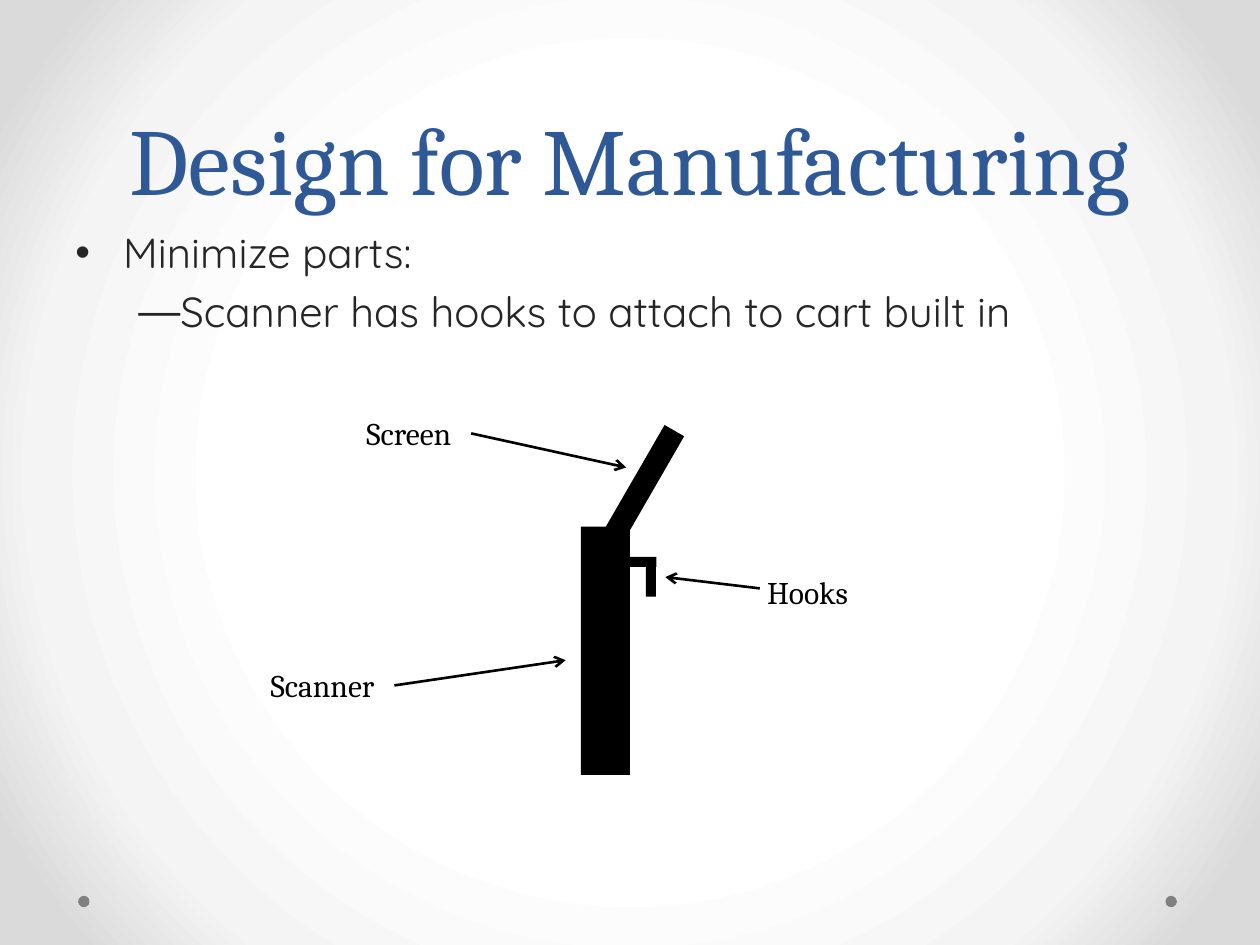
import pptx
import pptx.util
import pptx.dml.color
import pptx.enum.shapes
import pptx.enum.text
import pptx.oxml
import pptx.oxml.ns
import lxml.etree

Inches = pptx.util.Inches
Pt = pptx.util.Pt
kinds = pptx.enum.shapes.MSO_SHAPE
qn = pptx.oxml.ns.qn


def tint(color, code):
    color.rgb = pptx.dml.color.RGBColor.from_string(code)


def write(para, text, size, face, code):
    para.text = text
    para.font.size = Pt(size)
    para.font.name = face
    tint(para.font.color, code)


deck = pptx.Presentation()
deck.slide_width = Inches(10)
deck.slide_height = Inches(7.5)
slide = deck.slides.add_slide(deck.slide_layouts[6])

back = slide.background.fill
back.gradient()
grad = slide.element.find(".//" + qn("a:gradFill"))
for child in list(grad):
    grad.remove(child)
stops = lxml.etree.SubElement(grad, qn("a:gsLst"))
for place, code in [(50, "FFFFFF"), (76, "F4F4F4"), (92, "DADADA")]:
    stop = lxml.etree.SubElement(stops, qn("a:gs"), pos=str(place * 1000))
    lxml.etree.SubElement(stop, qn("a:srgbClr"), val=code)
path = lxml.etree.SubElement(grad, qn("a:path"), path="circle")
lxml.etree.SubElement(path, qn("a:fillToRect"), l="50000", t="50000", r="50000", b="50000")

group = slide.shapes.add_group_shape()
parts = [
    (slide.shapes, kinds.OVAL, 9.25, 7.11, 0.09, 0.09, 0, "808080"),
    (slide.shapes, kinds.OVAL, 0.62, 7.11, 0.09, 0.09, 0, "808080"),
    (group.shapes, kinds.RECTANGLE, 4.61, 4.18, 0.39, 1.97, 0, "000000"),
    (group.shapes, kinds.RECTANGLE, 5.01, 3.35, 0.18, 1.01, 30, "000000"),
    (group.shapes, kinds.RECTANGLE, 4.97, 4.42, 0.24, 0.08, 0, "000000"),
    (group.shapes, kinds.RECTANGLE, 5.01, 4.54, 0.31, 0.08, 90, "000000"),
]
for home, kind, left, top, width, height, turn, code in parts:
    part = home.add_shape(kind, Inches(left), Inches(top), Inches(width), Inches(height))
    part.rotation = turn
    part.shadow.inherit = False
    part.fill.solid()
    tint(part.fill.fore_color, code)
    part.line.fill.background()

title = slide.shapes.add_textbox(Inches(0.5), 0, Inches(9), Inches(1.75)).text_frame
title.word_wrap = True
title.vertical_anchor = pptx.enum.text.MSO_ANCHOR.BOTTOM
para = title.paragraphs[0]
para.alignment = pptx.enum.text.PP_ALIGN.CENTER
para.line_spacing = Pt(58)
write(para, "Design for Manufacturing", 54, "Cambria", "2F5897")

body = slide.shapes.add_textbox(Inches(0.5), Inches(1.75), Inches(9), Inches(1.37)).text_frame
body.word_wrap = True
points = [
    ("Minimize parts:", "•", 0.38, 0.38, 0),
    ("Scanner has hooks to attach to cart built in", "―", 0.81, 0.31, 4.8),
]
for level, (text, mark, left, hang, gap) in enumerate(points):
    para = body.add_paragraph() if level else body.paragraphs[0]
    para.level = level
    props = para._p.get_or_add_pPr()
    props.set("marL", str(Inches(left)))
    props.set("indent", str(-Inches(hang)))
    lxml.etree.SubElement(props, qn("a:buFont"), typeface="Arial")
    lxml.etree.SubElement(props, qn("a:buChar"), char=mark)
    para.space_before = Pt(gap)
    write(para, text, 24, "Quicksand", "262626")

labels = [
    ("Hooks", 5.99, 4.5, (6.03, 4.67), (5.28, 4.58)),
    ("Scanner", 2.05, 5.24, (3.13, 5.44), (4.49, 5.24)),
    ("Screen", 2.81, 3.24, (3.74, 3.44), (4.97, 3.71)),
]
for text, left, top, start, end in labels:
    label = group.shapes.add_textbox(Inches(left), Inches(top), Inches(2.16), Inches(0.4)).text_frame
    label.word_wrap = True
    label.auto_size = pptx.enum.text.MSO_AUTO_SIZE.SHAPE_TO_FIT_TEXT
    write(label.paragraphs[0], text, 18, "Cambria", "000000")
    ends = [Inches(value) for value in start + end]
    arrow = group.shapes.add_connector(pptx.enum.shapes.MSO_CONNECTOR.STRAIGHT, *ends)
    tint(arrow.line.color, "000000")
    arrow.line.width = Pt(1.5)
    lxml.etree.SubElement(arrow.line._get_or_add_ln(), qn("a:tailEnd"), type="arrow")
    lxml.etree.SubElement(arrow._element.spPr, qn("a:effectLst"))

deck.save("out.pptx")
